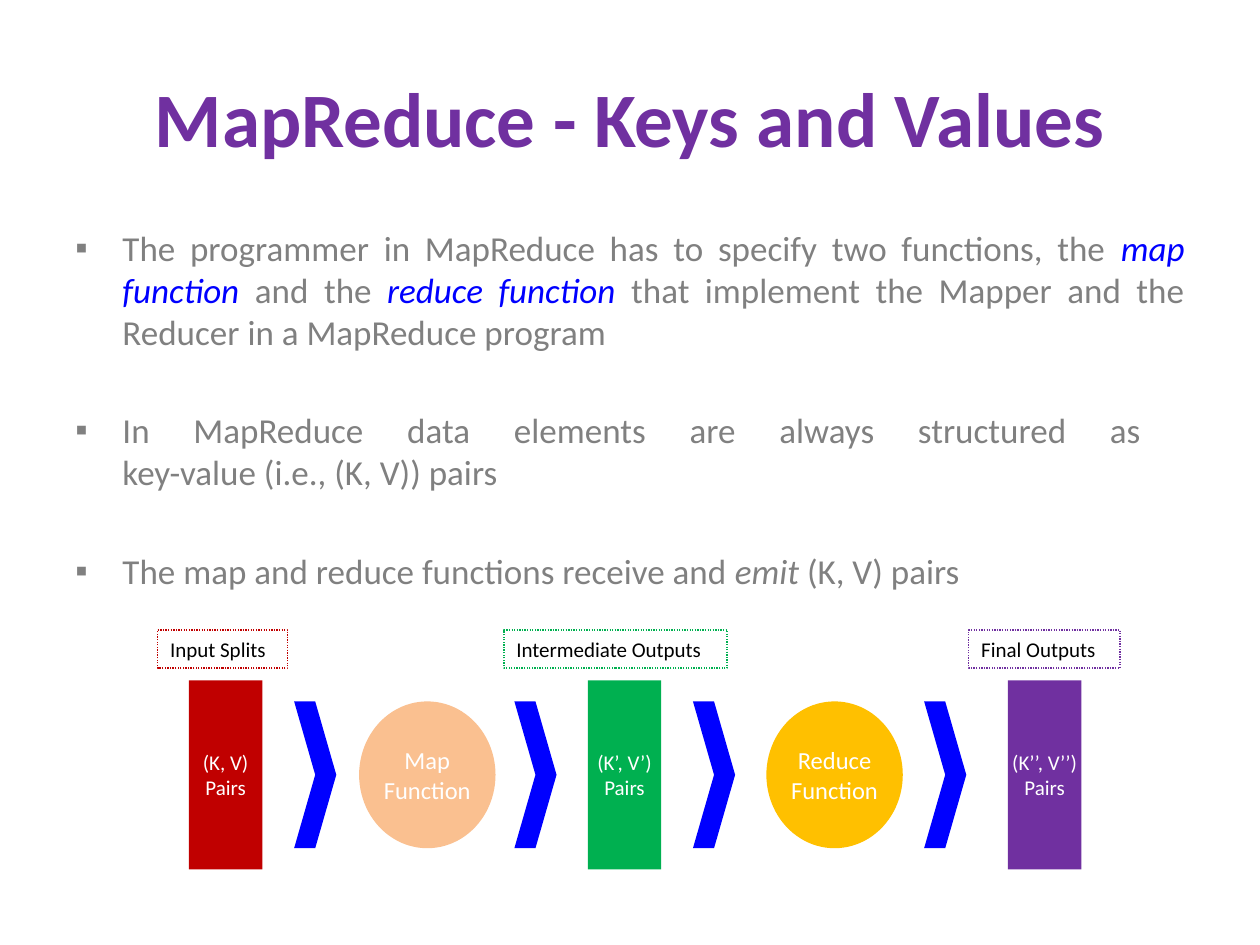
import pptx
import pptx.dml.color
import pptx.enum.dml
import pptx.enum.shapes
import pptx.enum.text
import pptx.oxml
import pptx.oxml.ns
import pptx.util

Cm = pptx.util.Cm
Pt = pptx.util.Pt
SHAPE = pptx.enum.shapes.MSO_SHAPE
ALIGN = pptx.enum.text.PP_ALIGN
ANCHOR = pptx.enum.text.MSO_ANCHOR

PURPLE, RED, GREEN, BLUE = "7030A0", "C00000", "00B050", "0000FF"
PEACH, AMBER, GREY, WHITE, BLACK = "FAC090", "FFC000", "808080", "FFFFFF", "000000"


def rgb(value):
    return pptx.dml.color.RGBColor.from_string(value)


def add_text(p, text, size=20, color=GREY, bold=False, italic=False):
    """Add runs to a paragraph; a newline in the text is a line break."""
    for i, line in enumerate(text.split("\n")):
        if i:
            p.add_line_break()
        r = p.add_run()
        r.text = line
        r.font.name = "Calibri"
        r.font.size = Pt(size)
        r.font.bold = bold
        r.font.italic = italic
        r.font.color.rgb = rgb(color)


class Deck:
    """Holds the flow style and the current slide."""

    middle = 15.62  # vertical centre of the flow
    label_top = 12.7

    def __init__(self):
        self.prs = pptx.Presentation()
        self.prs.slide_width = Cm(25.4)
        self.prs.slide_height = Cm(19.05)
        self.s = self.prs.slides.add_slide(self.prs.slide_layouts[5])

    def title(self, text):
        sp = self.s.shapes.title
        sp.left, sp.top, sp.width, sp.height = Cm(1.27), Cm(0.76), Cm(22.86), Cm(3.18)
        tf = sp.text_frame
        tf.vertical_anchor = ANCHOR.MIDDLE
        p = tf.paragraphs[0]
        p.alignment = ALIGN.CENTER
        add_text(p, text, size=44, color=PURPLE, bold=True)

    def bullets(self, items):
        sp = self.s.shapes.add_textbox(Cm(1.27), Cm(4.45), Cm(22.86), Cm(12.57))
        tf = sp.text_frame
        tf.word_wrap = True
        for i, runs in enumerate(items):
            p = tf.add_paragraph() if i else tf.paragraphs[0]
            p.alignment = ALIGN.JUSTIFY
            if i:
                p.space_before = Pt(32)
            pPr = p._p.get_or_add_pPr()
            pPr.set("marL", str(Cm(0.95)))
            pPr.set("indent", str(-Cm(0.95)))
            ns = pptx.oxml.ns.nsdecls("a")
            pPr.append(pptx.oxml.parse_xml(f'<a:buFont {ns} typeface="Arial"/>'))
            pPr.append(pptx.oxml.parse_xml(f'<a:buChar {ns} char="▪"/>'))
            for text, style in runs:
                add_text(p, text, **style)

    def shape(self, kind, x, y, w, h, fill=None):
        sp = self.s.shapes.add_shape(kind, Cm(x), Cm(y), Cm(w), Cm(h))
        sp.shadow.inherit = False
        sp.line.fill.background()
        if fill:
            sp.fill.solid()
            sp.fill.fore_color.rgb = rgb(fill)
        else:
            sp.fill.background()
        return sp

    def step(self, kind, x, w, h, fill, text="", size=12):
        """Place a flow shape, centred on the flow's middle line."""
        sp = self.shape(kind, x, self.middle - h / 2, w, h, fill)
        if text:
            tf = sp.text_frame
            tf.word_wrap = True
            tf.margin_left = tf.margin_right = 0
            tf.vertical_anchor = ANCHOR.MIDDLE
            p = tf.paragraphs[0]
            p.alignment = ALIGN.CENTER
            add_text(p, text, size=size, color=WHITE)

    def pairs(self, x, fill, text):
        self.step(SHAPE.RECTANGLE, x, 1.48, 3.81, fill, text)

    def function(self, x, fill, text):
        self.step(SHAPE.OVAL, x, 2.75, 2.96, fill, text, size=14)

    def chevron(self, x):
        self.step(SHAPE.CHEVRON, x, 0.85, 2.96, BLUE)

    def label(self, x, w, color, text):
        sp = self.shape(SHAPE.RECTANGLE, x, self.label_top, w, 0.77)
        sp.line.color.rgb = rgb(color)
        sp.line.width = Pt(0.75)
        sp.line.dash_style = pptx.enum.dml.MSO_LINE.ROUND_DOT
        tf = sp.text_frame
        tf.word_wrap = False
        tf.auto_size = pptx.enum.text.MSO_AUTO_SIZE.SHAPE_TO_FIT_TEXT
        tf.vertical_anchor = ANCHOR.TOP
        p = tf.paragraphs[0]
        p.alignment = ALIGN.LEFT
        add_text(p, text, size=12, color=BLACK)


def main():
    deck = Deck()
    deck.title("MapReduce - Keys and Values")

    # Explanation
    key_term = dict(color=BLUE, italic=True)
    deck.bullets([
        [("The programmer in MapReduce has to specify two functions, the ", {}),
         ("map function ", key_term),
         ("and the ", {}),
         ("reduce function ", key_term),
         ("that implement the Mapper and the Reducer in a MapReduce program", {})],
        [("In MapReduce data elements are always structured as \n"
          "key-value (i.e., (K, V)) pairs", {})],
        [("The map and reduce functions receive and ", {}),
         ("emit", dict(italic=True)),
         (" (K, V) pairs", {})],
    ])

    # Data flow
    deck.pairs(3.81, RED, "(K, V) Pairs")
    deck.function(7.24, PEACH, "Map Function")
    deck.pairs(11.85, GREEN, "(K’, V’) Pairs")
    deck.function(15.45, AMBER, "Reduce Function")
    deck.pairs(20.32, PURPLE, "(K’’, V’’) Pairs")
    for x in (5.93, 10.37, 13.97, 18.63):
        deck.chevron(x)

    # Labels above the pairs
    deck.label(3.18, 2.62, RED, "Input Splits")
    deck.label(10.16, 4.5, GREEN, "Intermediate Outputs")
    deck.label(19.53, 3.05, PURPLE, "Final Outputs")

    deck.prs.save("out.pptx")


if __name__ == "__main__":
    main()
